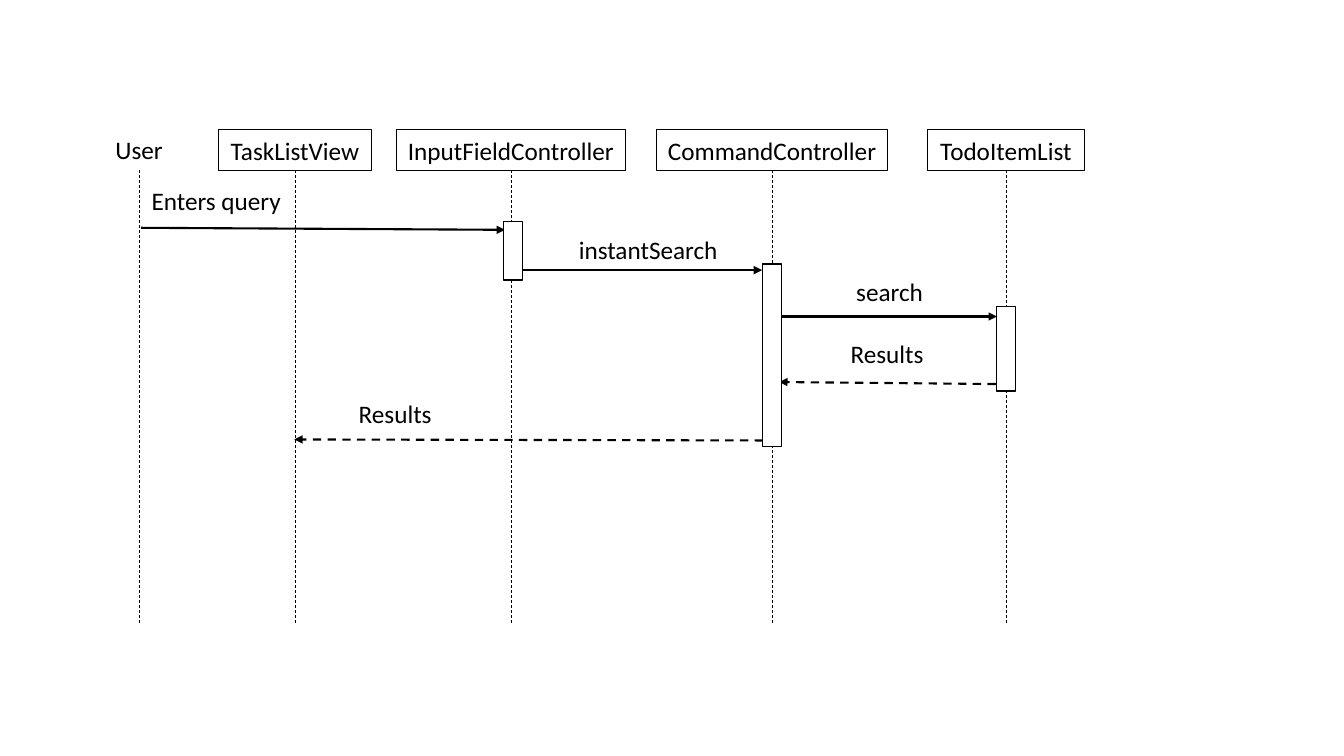
"""Build a sequence diagram of an instant search over a to-do list."""
import pptx
import pptx.dml.color
import pptx.enum.dml
import pptx.enum.shapes
import pptx.enum.text
import pptx.oxml.ns
import pptx.util
import lxml.etree

theme = {
    "font": "Calibri", "size": 18,
    "ink": pptx.dml.color.RGBColor(0, 0, 0),
    "paper": pptx.dml.color.RGBColor(255, 255, 255),
    "life": 0.5, "frame": 0.75, "bar": 1, "arrow": 1.5,
}

deck = pptx.Presentation()
deck.slide_width = pptx.util.Inches(13.33)
deck.slide_height = pptx.util.Inches(7.5)
slide = deck.slides.add_slide(deck.slide_layouts[6])
shapes = slide.shapes
col = deck.slide_width / 40
row = deck.slide_height / 30
rect = pptx.enum.shapes.MSO_SHAPE.RECTANGLE
tall = 1.62


def label(shape, words):
    """Write centred words in a shape that fits its text."""
    frame = shape.text_frame
    frame.word_wrap = False
    frame.auto_size = pptx.enum.text.MSO_AUTO_SIZE.SHAPE_TO_FIT_TEXT
    para = frame.paragraphs[0]
    para.alignment = pptx.enum.text.PP_ALIGN.CENTER
    run = para.add_run()
    run.text = words
    run.font.name = theme["font"]
    run.font.size = pptx.util.Pt(theme["size"])
    run.font.color.rgb = theme["ink"]


def link(start, end, weight, dashed, arrow):
    """Draw a straight line between two grid points."""
    line = shapes.add_connector(
        pptx.enum.shapes.MSO_CONNECTOR.STRAIGHT,
        int(start[0] * col), int(start[1] * row),
        int(end[0] * col), int(end[1] * row))
    line.line.color.rgb = theme["ink"]
    line.line.width = pptx.util.Pt(weight)
    if dashed:
        line.line.dash_style = pptx.enum.dml.MSO_LINE.DASH
    if arrow:
        tip = lxml.etree.SubElement(
            line.line._get_or_add_ln(), pptx.oxml.ns.qn("a:tailEnd"))
        tip.set("type", "triangle")
    lxml.etree.SubElement(line._element.spPr, pptx.oxml.ns.qn("a:effectLst"))


actors = [
    ("User", 4.14, 2.04, False),
    ("TaskListView", 8.78, 4.53, True),
    ("InputFieldController", 15.21, 6.81, True),
    ("CommandController", 22.98, 6.87, True),
    ("TodoItemList", 29.94, 4.65, True),
]
for name, mid, wide, framed in actors:
    link((mid, 6.76), (mid, 24.76), theme["life"], True, False)
    place = [int(v) for v in ((mid - wide / 2) * col, 5.14 * row,
                              wide * col, tall * row)]
    if framed:
        head = shapes.add_shape(rect, *place)
        head.shadow.inherit = False
        head.fill.background()
        head.line.color.rgb = theme["ink"]
        head.line.width = pptx.util.Pt(theme["frame"])
    else:
        head = shapes.add_textbox(*place)
    label(head, name)

calls = [
    ("Enters query", 4.17, 7.16, 4.53, (4.2, 9.04), (15.03, 9.12), False),
    ("instantSearch", 16.89, 9.12, 4.8, (15.27, 10.72), (22.68, 10.72), False),
    ("search", 25.17, 10.76, 2.61, (23.13, 12.56), (29.67, 12.56), False),
    ("Results", 24.99, 13.24, 2.82, (29.64, 15.24), (23.19, 15.16), True),
    ("Results", 10.35, 15.6, 2.82, (22.71, 17.48), (8.76, 17.44), True),
]
for words, left, top, wide, start, end, reply in calls:
    link(start, end, theme["arrow"], reply, True)
    note = shapes.add_textbox(int(left * col), int(top * row),
                              int(wide * col), int(tall * row))
    label(note, words)

wide = 0.56
for mid, top, high in [(15.27, 8.8, 2.32), (22.98, 10.48, 7.24),
                       (29.94, 12.16, 3.36)]:
    bar = shapes.add_shape(rect, int((mid - wide / 2) * col), int(top * row),
                           int(wide * col), int(high * row))
    bar.shadow.inherit = False
    bar.fill.solid()
    bar.fill.fore_color.rgb = theme["paper"]
    bar.line.color.rgb = theme["ink"]
    bar.line.width = pptx.util.Pt(theme["bar"])

deck.save("out.pptx")
